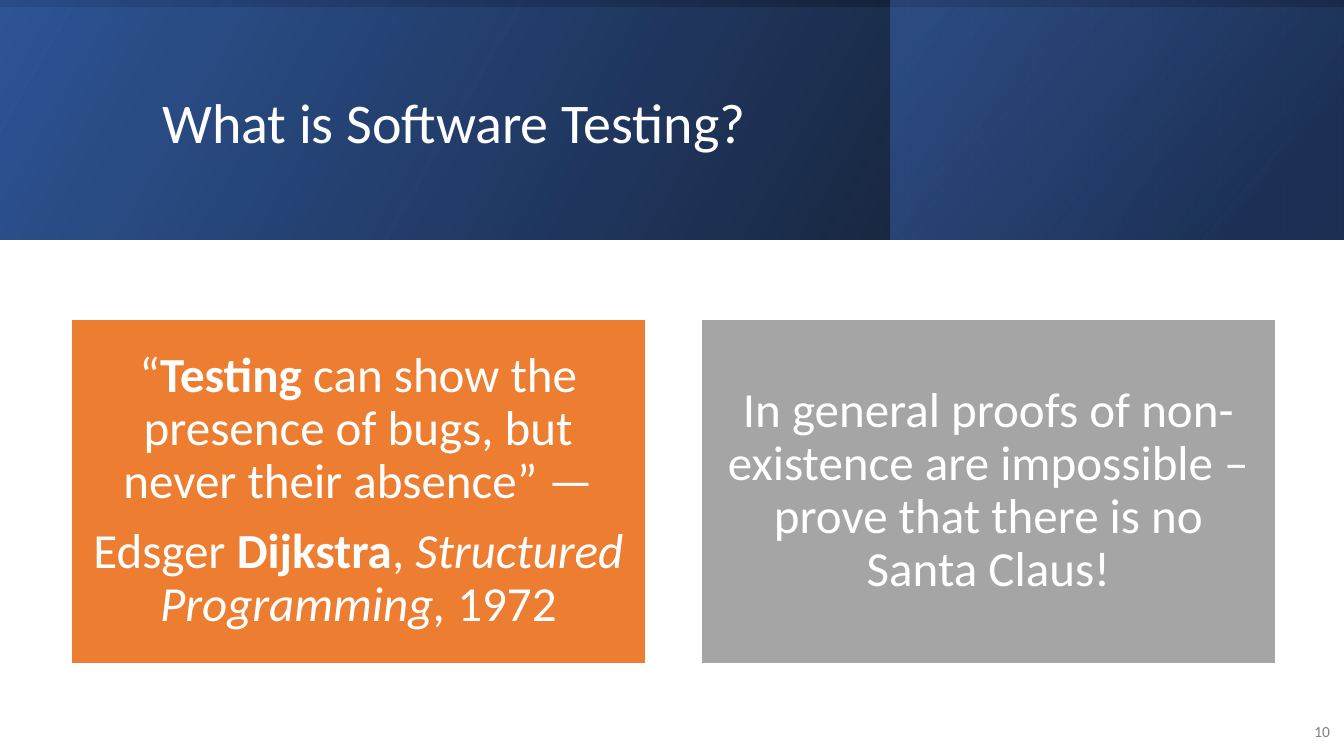
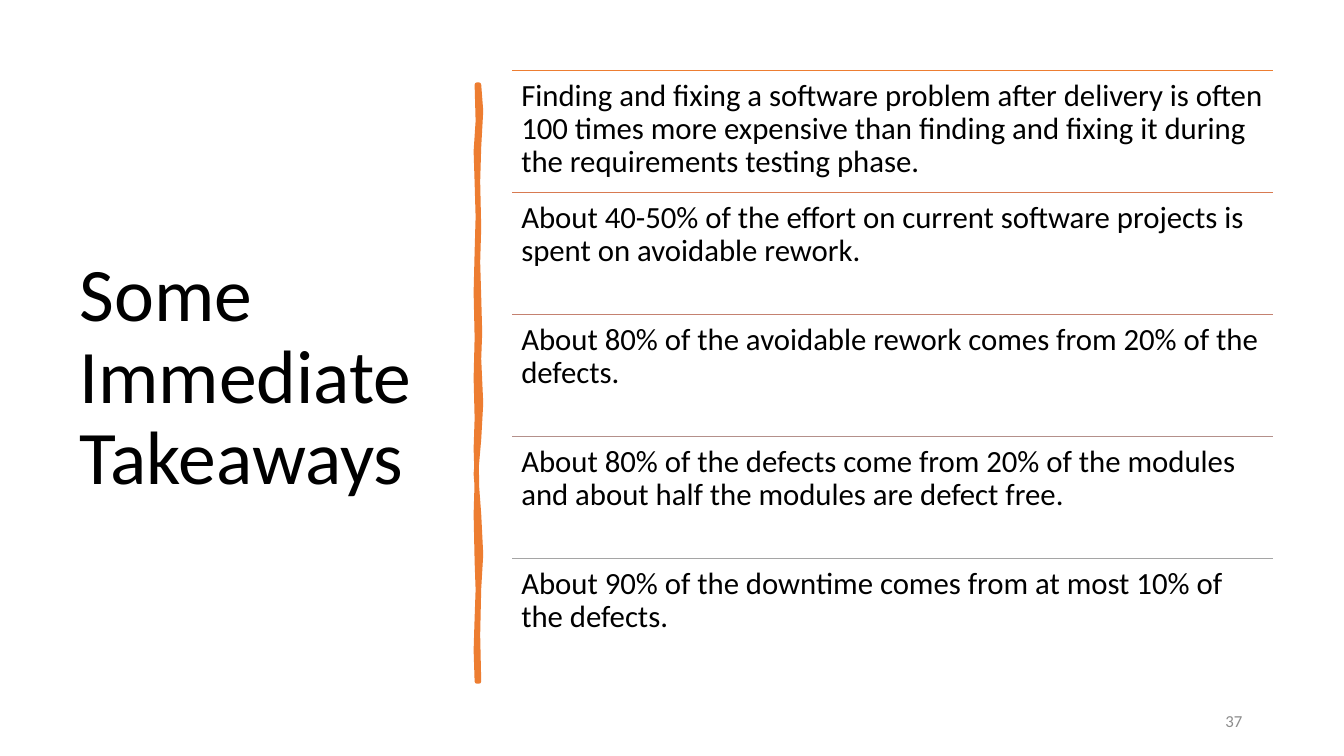
from lxml import etree
from pptx import Presentation
from pptx import util as u
from pptx.dml.color import RGBColor
from pptx.enum import shapes, text
from pptx.oxml.ns import qn

Inches = u.Inches

WHITE = RGBColor(0xFF, 0xFF, 0xFF)
BLACK = RGBColor(0x00, 0x00, 0x00)
NAVY = RGBColor(0x20, 0x38, 0x64)
ROYAL = RGBColor(0x2F, 0x55, 0x97)
BLUE = RGBColor(0x44, 0x72, 0xC4)
ORANGE = RGBColor(0xED, 0x7D, 0x31)
GRAY = RGBColor(0xA5, 0xA5, 0xA5)
NUMBER_DARK = RGBColor(0x80, 0x80, 0x80)
NUMBER_LIGHT = RGBColor(0x8C, 0x8C, 0x8C)
RULE_COLORS = [
    ORANGE,
    RGBColor(0xD8, 0x7A, 0x51),
    RGBColor(0xC4, 0x81, 0x70),
    RGBColor(0xB4, 0x90, 0x8B),
    GRAY,
]

QUOTE = [
    [("“", ""), ("Testing", "b"),
     (" can show the presence of bugs, but never their absence” —", "")],
    [("Edsger ", ""), ("Dijkstra", "b"), (", ", ""),
     ("Structured Programming,", "i"), (" 1972", "")],
]
PROOFS = [[("In general proofs of non-existence are impossible – "
            "prove that there is no Santa Claus!", "")]]
TAKEAWAYS = [
    "Finding and fixing a software problem after delivery is often 100 times more "
    "expensive than finding and fixing it during the requirements testing phase.",
    "About 40-50% of the effort on current software projects is spent on avoidable rework.",
    "About 80% of the avoidable rework comes from 20% of the defects.",
    "About 80% of the defects come from 20% of the modules and about half the modules "
    "are defect free.",
    "About 90% of the downtime comes from at most 10% of the defects.",
]
# Edges of the brush stroke, down the right side and back up the left
STROKE_OUTLINE = [
    (4.75, 0.84), (4.77, 1.1), (4.75, 1.46), (4.74, 1.8), (4.75, 2.26), (4.74, 2.6),
    (4.75, 2.94), (4.76, 3.3), (4.75, 3.56), (4.77, 4), (4.75, 4.36), (4.72, 4.7),
    (4.75, 5.1), (4.77, 5.5), (4.75, 5.84), (4.74, 6.3), (4.75, 6.76),
    (4.73, 6.76), (4.72, 6.45), (4.73, 6.13), (4.74, 5.85), (4.73, 5.57), (4.72, 5.1),
    (4.73, 4.77), (4.72, 4.45), (4.73, 4.15), (4.72, 3.75), (4.73, 3.35), (4.72, 2.9),
    (4.73, 2.5), (4.74, 2.15), (4.73, 1.81), (4.72, 1.5), (4.74, 1.2), (4.73, 0.84),
]


class Deck:
    """Shared style and the slide being filled."""

    font = "Calibri"

    def __init__(self):
        self.presentation = Presentation()
        self.presentation.slide_width = Inches(13.33)
        self.presentation.slide_height = Inches(7.5)
        self.slide = None

    def add_slide(self):
        self.slide = self.presentation.slides.add_slide(self.presentation.slide_layouts[5])

    def fill_text(self, shape, paragraphs, size, color, align=text.PP_ALIGN.LEFT,
                  anchor=text.MSO_ANCHOR.MIDDLE, inset=None, spacing=0.9):
        frame = shape.text_frame
        frame.word_wrap = True
        frame.auto_size = text.MSO_AUTO_SIZE.NONE
        frame.vertical_anchor = anchor
        if inset is not None:
            frame.margin_left = frame.margin_right = Inches(inset)
            frame.margin_top = frame.margin_bottom = Inches(inset)
        for index, runs in enumerate(paragraphs):
            paragraph = frame.add_paragraph() if index else frame.paragraphs[0]
            paragraph.alignment = align
            paragraph.line_spacing = spacing
            paragraph.space_before = u.Pt(size * 0.35 if index else 0)
            for words, style in runs:
                run = paragraph.add_run()
                run.text = words
                run.font.name = self.font
                run.font.size = u.Pt(size)
                run.font.color.rgb = color
                run.font.bold = style == "b"
                run.font.italic = style == "i"

    def title(self, words, left, top, width, height, size, color):
        shape = self.slide.shapes.title
        shape.left, shape.top = Inches(left), Inches(top)
        shape.width, shape.height = Inches(width), Inches(height)
        self.fill_text(shape, [[(words, "")]], size, color)
        self.slide.shapes._spTree.append(shape._element)  # above the bands

    def text_box(self, words, left, top, width, height, size, color, **style):
        shape = self.slide.shapes.add_textbox(
            Inches(left), Inches(top), Inches(width), Inches(height))
        self.fill_text(shape, [[(words, "")]], size, color, **style)

    def number(self, words, left, top, width, size, color):
        self.text_box(words, left, top, width, 0.4, size, color,
                      align=text.PP_ALIGN.RIGHT, spacing=1)

    def rectangle(self, left, top, width, height, fill=None):
        shape = self.slide.shapes.add_shape(
            shapes.MSO_SHAPE.RECTANGLE,
            Inches(left), Inches(top), Inches(width), Inches(height))
        shape.shadow.inherit = False
        shape.line.fill.background()
        if fill is not None:
            shape.fill.solid()
            shape.fill.fore_color.rgb = fill
        return shape

    def set_opacity(self, shape, percents):
        colors = shape._element.spPr.iter(qn("a:srgbClr"))
        for color, percent in zip(colors, percents):
            etree.SubElement(color, qn("a:alpha")).set("val", str(percent * 1000))

    def tint(self, left, top, width, height, color, opacity):
        self.set_opacity(self.rectangle(left, top, width, height, color), [opacity])

    def gradient_band(self, left, width, height, stops, angle):
        """Stops are (position, colour, opacity); the angle runs clockwise."""
        shape = self.rectangle(left, 0, width, height)
        shape.fill.gradient()
        shape.fill.gradient_angle = 360 - angle
        for stop, (position, color, _) in zip(shape.fill.gradient_stops, stops):
            stop.position = position
            stop.color.rgb = color
        self.set_opacity(shape, [opacity for _, _, opacity in stops])

    def card(self, paragraphs, left, fill):
        shape = self.rectangle(left, 3.17, 5.69, 3.41, fill)
        shape.line.color.rgb = WHITE
        shape.line.width = u.Pt(1)
        self.fill_text(shape, paragraphs, 35, WHITE, text.PP_ALIGN.CENTER, inset=0.15)

    def rule(self, left, top, width, color):
        line = self.slide.shapes.add_connector(
            shapes.MSO_CONNECTOR.STRAIGHT,
            Inches(left), Inches(top), Inches(left + width), Inches(top))
        line.line.color.rgb = color
        line.line.width = u.Pt(1)
        etree.SubElement(line._element.spPr, qn("a:effectLst"))

    def brush_stroke(self, outline, color):
        start, *others = [(Inches(x), Inches(y)) for x, y in outline]
        builder = self.slide.shapes.build_freeform(*start)
        builder.add_line_segments(others, close=True)
        shape = builder.convert_to_shape()
        shape.shadow.inherit = False
        shape.fill.solid()
        shape.fill.fore_color.rgb = color
        shape.line.color.rgb = color
        shape.line.width = u.Pt(3.25)


def add_definition_slide(deck):
    deck.add_slide()
    # Layered header band
    band_height, strip = 2.38, 0.07
    deck.gradient_band(0, 13.33, band_height, [(0, ROYAL, 100), (1, BLACK, 96)], 30)
    deck.gradient_band(8.83, 4.5, band_height, [(0, BLUE, 48), (0.81, NAVY, 68)], 40)
    deck.tint(0, 0, 13.33, strip, BLACK, 10)
    deck.tint(0, strip, 13.33, band_height - strip, ROYAL, 16)
    deck.title("What is Software Testing?", 1.51, 0.38, 10.63, 1.72, 40, WHITE)
    # Two statements side by side
    deck.card(QUOTE, 0.71, ORANGE)
    deck.card(PROOFS, 6.96, GRAY)
    deck.number("10", 12.8, 7.06, 0.49, 11, NUMBER_DARK)


def add_takeaways_slide(deck):
    deck.add_slide()
    deck.title("Some Immediate Takeaways", 0.69, 0.7, 3.74, 6.11, 54, BLACK)
    deck.brush_stroke(STROKE_OUTLINE, ORANGE)
    # Ruled list
    left, top, width, pitch = 5.08, 0.7, 7.55, 1.21
    for row, (words, color) in enumerate(zip(TAKEAWAYS, RULE_COLORS)):
        row_top = top + row * pitch
        deck.rule(left, row_top, width, color)
        deck.text_box(words, left, row_top, width, pitch, 22, BLACK,
                      anchor=text.MSO_ANCHOR.TOP, inset=0.09)
    deck.number("37", 9.42, 6.95, 3, 12, NUMBER_LIGHT)


def main():
    deck = Deck()
    add_definition_slide(deck)
    add_takeaways_slide(deck)
    deck.presentation.save("out.pptx")


if __name__ == "__main__":
    main()
